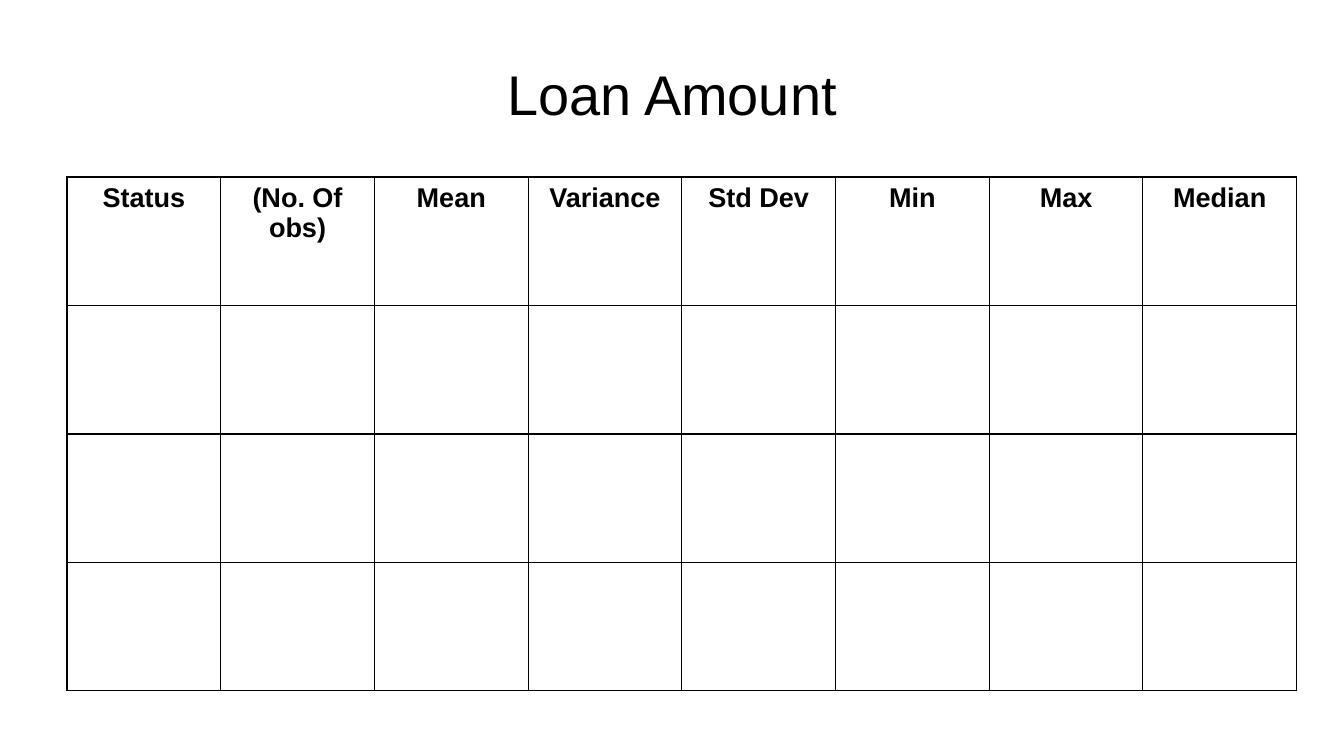
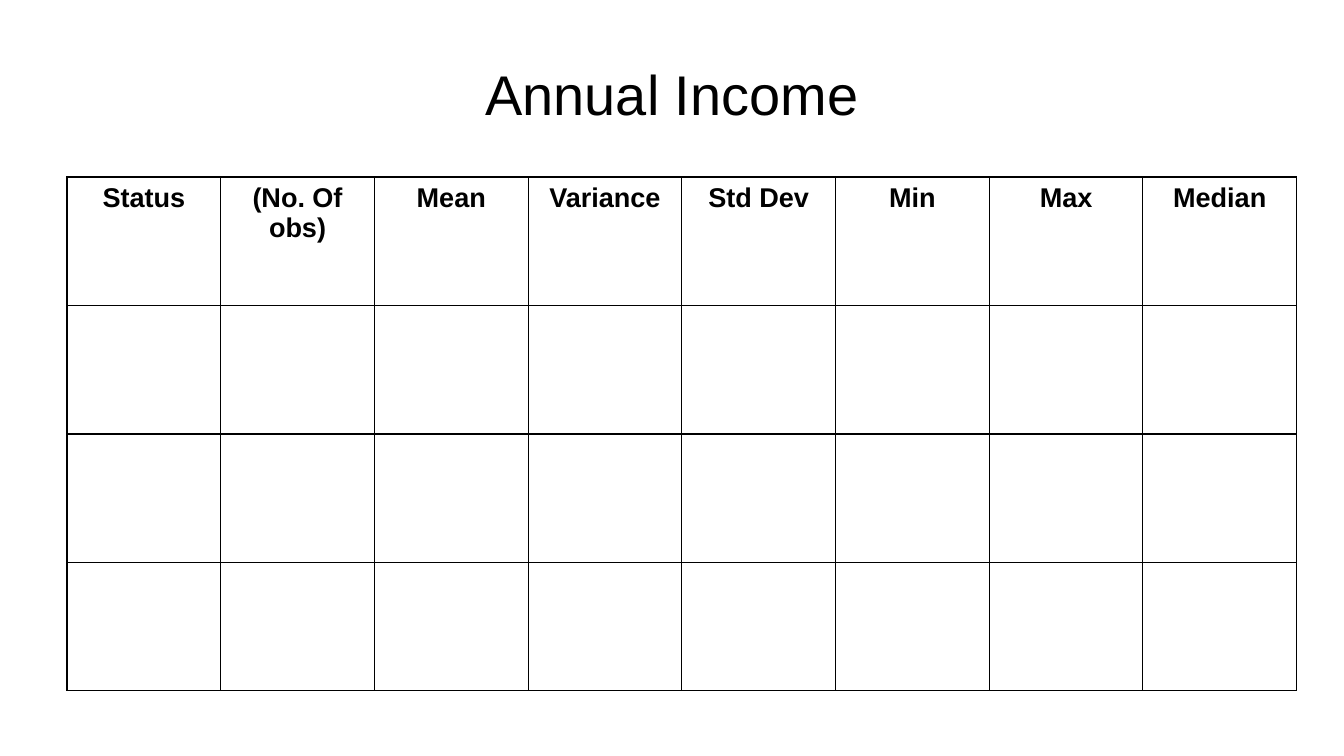
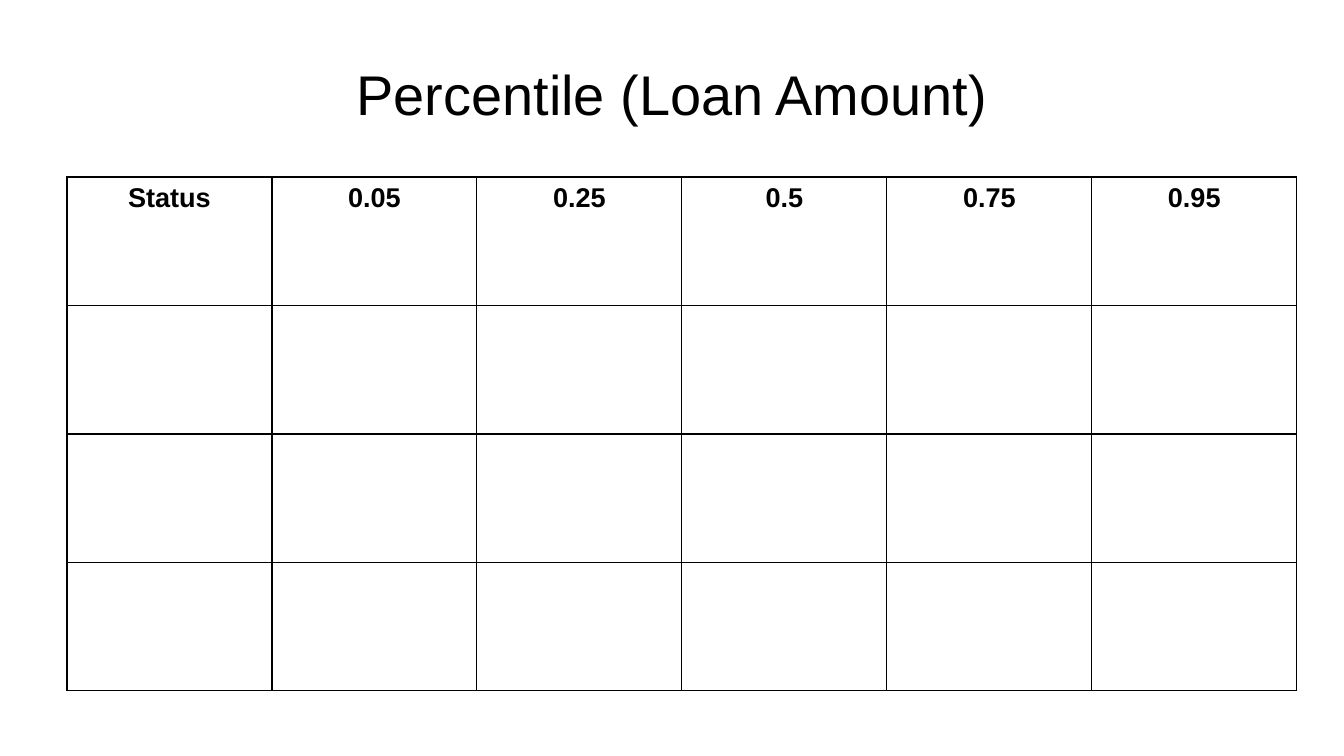
from lxml.etree import SubElement
from pptx import Presentation
from pptx.dml.color import RGBColor
from pptx.enum.text import MSO_ANCHOR, PP_ALIGN
from pptx.oxml.ns import qn
from pptx.util import Pt

EMU_PER_PX = 7495
BLANK_LAYOUT = 6
INK = "000000"
PAPER = "FFFFFF"
BORDER_WIDTH = 0.75
BORDER_SIDES = ("a:lnL", "a:lnR", "a:lnT", "a:lnB")
TITLE_FONT = {"name": "Arial", "size": Pt(33), "bold": False}
HEADING_FONT = {"name": "Arial", "size": Pt(16), "bold": True}
TITLE_FRAME = {
    "word_wrap": True,
    "vertical_anchor": MSO_ANCHOR.MIDDLE,
    "margin_left": 0,
    "margin_top": 0,
    "margin_right": 0,
    "margin_bottom": 0,
}
PLAIN_TABLE = {"first_row": False, "horz_banding": False}

SUMMARY = ("Status", "(No. Of obs)", "Mean", "Variance", "Std Dev", "Min", "Max", "Median")
PERCENTILES = ("Status", "0.05", "0.25", "0.5", "0.75", "0.95")
STATISTICS = (
    ("Loan Amount", SUMMARY),
    ("Annual Income", SUMMARY),
    ("Percentile (Loan Amount)", PERCENTILES),
)


def px(length):
    return length * EMU_PER_PX


def color(value):
    return RGBColor.from_string(value)


def apply_format(target, values):
    for attribute, value in values.items():
        setattr(target, attribute, value)


class Deck:
    def __init__(self, width, height):
        self.presentation = Presentation()
        self.presentation.slide_width = px(width)
        self.presentation.slide_height = px(height)
        self.slide = None

    def add_slide(self):
        layout = self.presentation.slide_layouts[BLANK_LAYOUT]
        self.slide = self.presentation.slides.add_slide(layout)
        fill = self.slide.background.fill
        fill.solid()
        fill.fore_color.rgb = color(PAPER)

    def centered_text(self, frame, wording, font):
        paragraph = frame.paragraphs[0]
        paragraph.alignment = PP_ALIGN.CENTER
        run = paragraph.add_run()
        run.text = wording
        apply_format(run.font, font)
        run.font.color.rgb = color(INK)

    def title(self, wording):
        box = self.slide.shapes.add_textbox(px(67), px(30), px(1210), px(127))
        apply_format(box.text_frame, TITLE_FRAME)
        self.centered_text(box.text_frame, wording, TITLE_FONT)

    def style_cell(self, cell):
        properties = cell._tc.get_or_add_tcPr()
        for side in BORDER_SIDES:
            border = SubElement(properties, qn(side), w=str(Pt(BORDER_WIDTH)))
            ink = SubElement(border, qn("a:solidFill"))
            SubElement(ink, qn("a:srgbClr"), val=INK)
        cell.fill.solid()
        cell.fill.fore_color.rgb = color(PAPER)

    def grid(self, headings, row_count=4):
        width, height = px(1230), px(514)
        table = self.slide.shapes.add_table(
            row_count, len(headings), px(67), px(177), width, height
        ).table
        apply_format(table, PLAIN_TABLE)
        for column in table.columns:
            column.width = width // len(headings)
        for row in table.rows:
            row.height = height // row_count
        for cell in table.iter_cells():
            self.style_cell(cell)
        for heading, cell in zip(headings, table.rows[0].cells):
            self.centered_text(cell.text_frame, heading, HEADING_FONT)


def main():
    deck = Deck(1344, 756)
    for title, headings in STATISTICS:
        deck.add_slide()
        deck.title(title)
        deck.grid(headings)
    deck.presentation.save("out.pptx")


if __name__ == "__main__":
    main()
